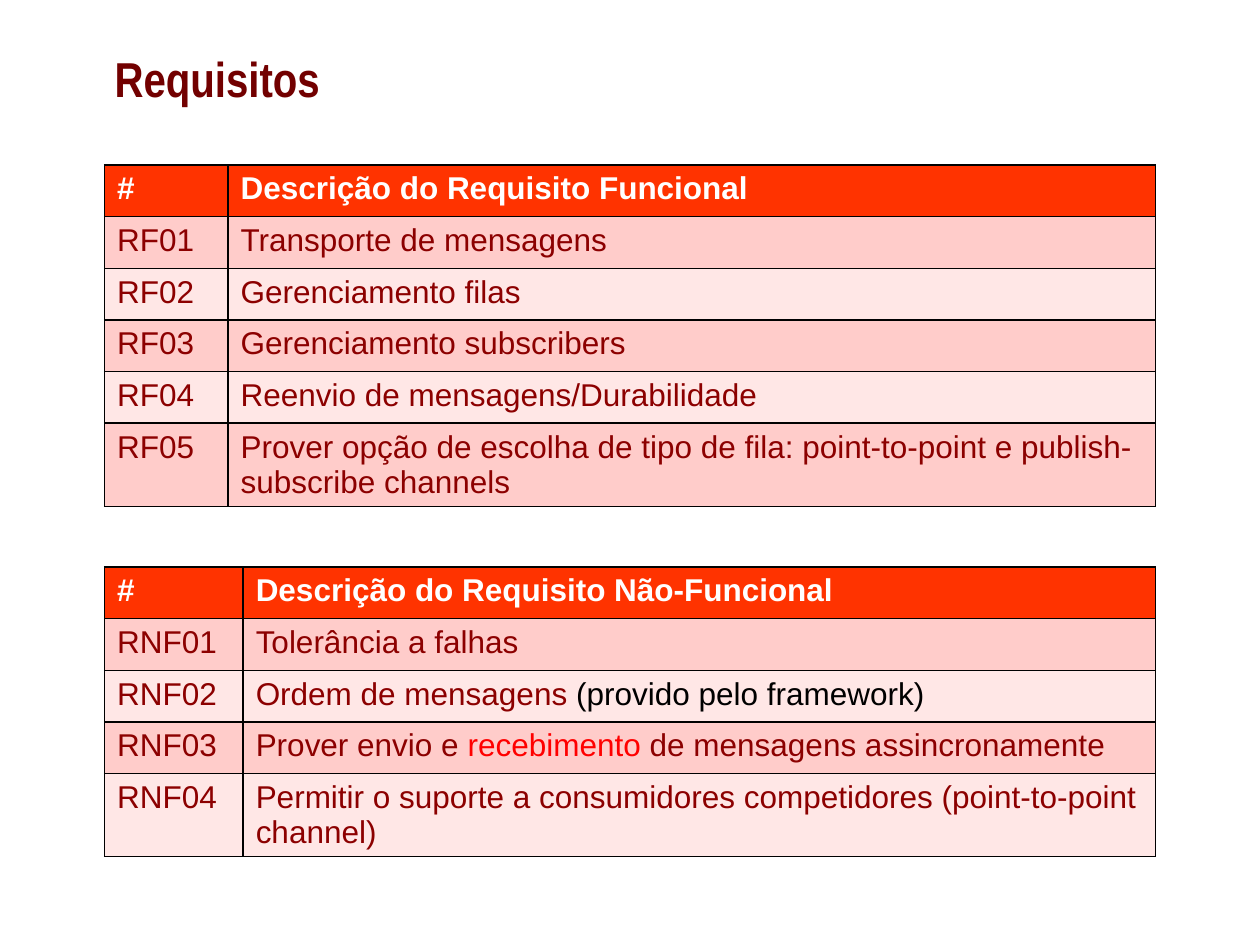
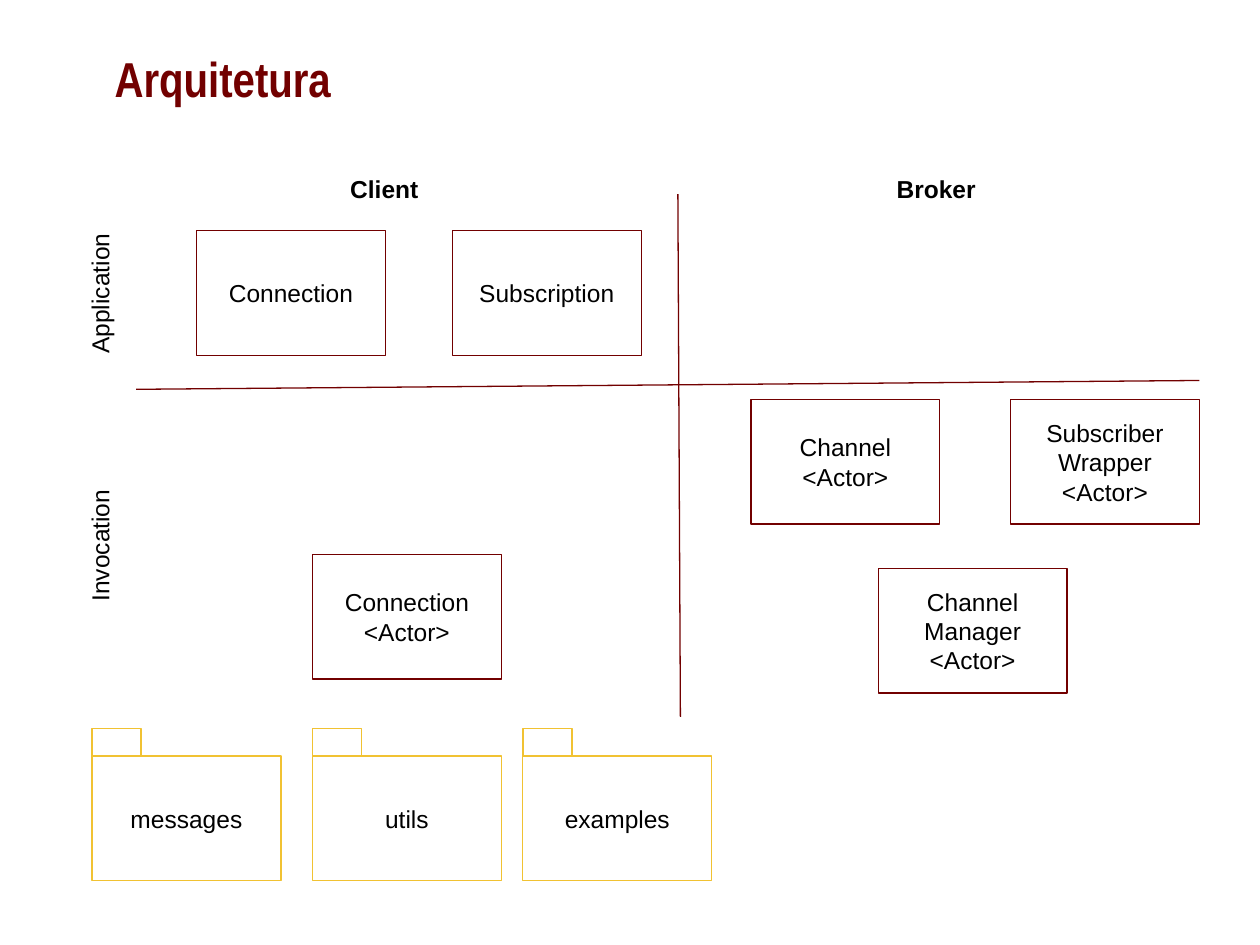
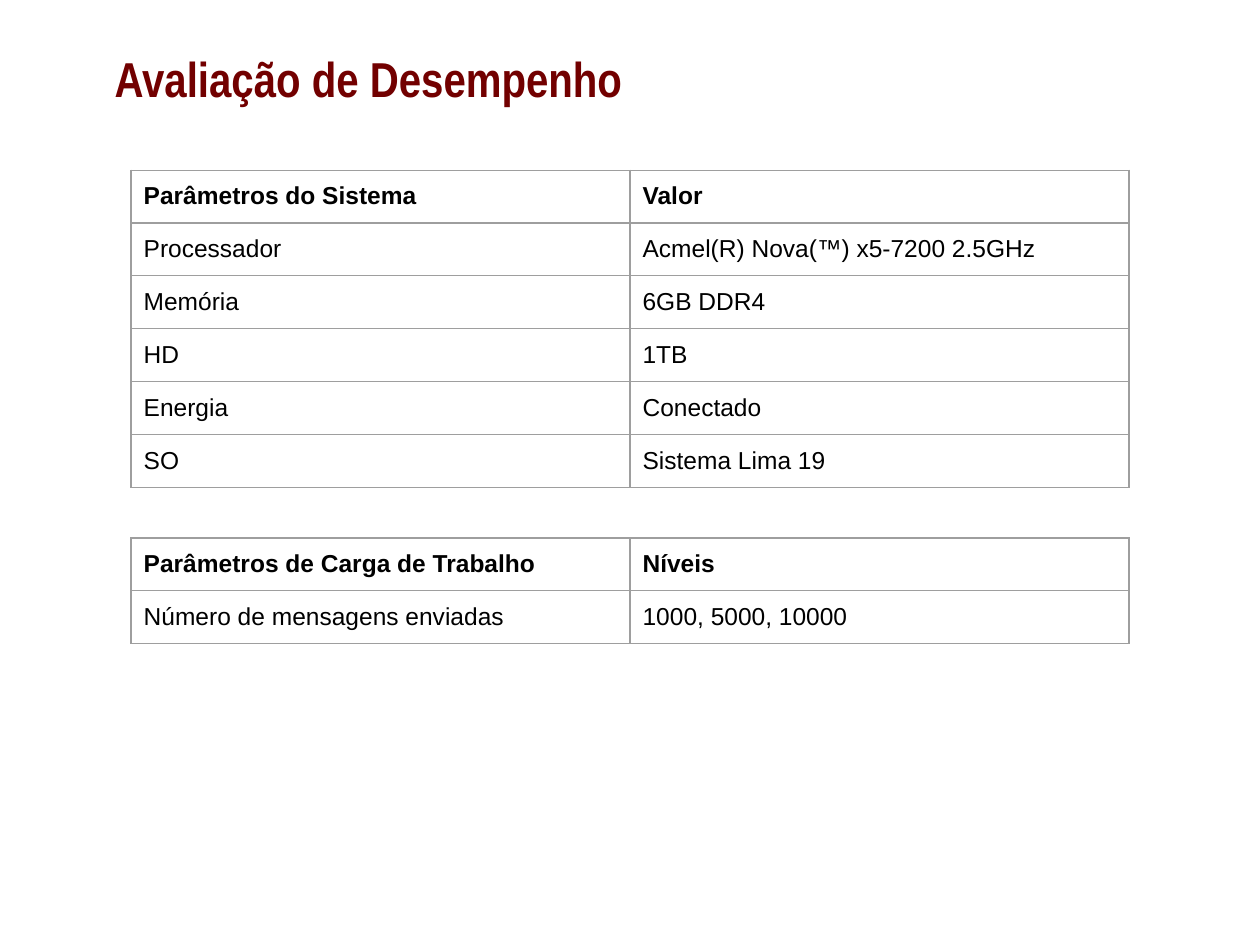
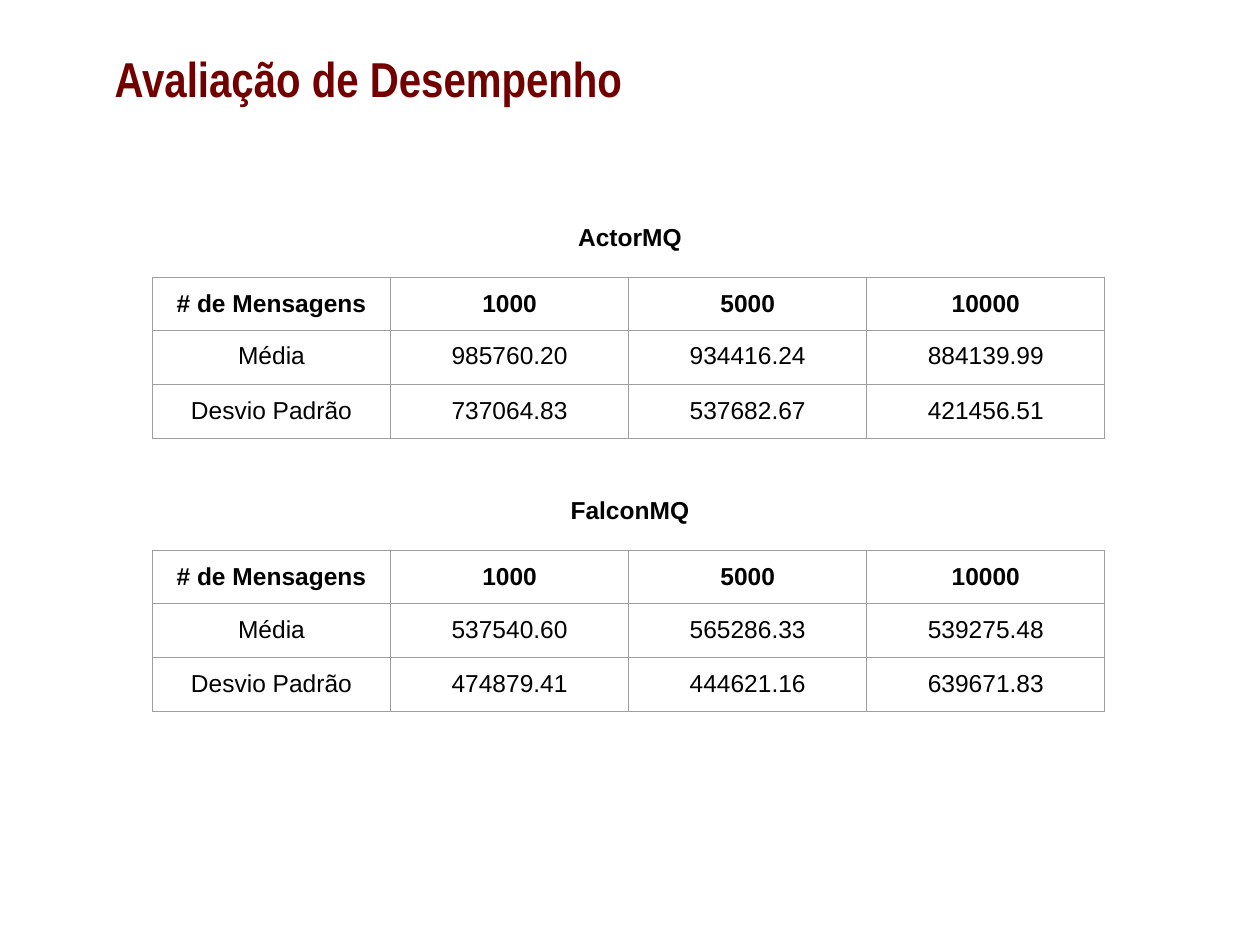
from dataclasses import dataclass

from lxml.etree import SubElement
from pptx import Presentation
from pptx.dml.color import RGBColor as Rgb
from pptx.enum.shapes import MSO_CONNECTOR as Link, MSO_SHAPE as Form
from pptx.enum.text import MSO_ANCHOR as Anchor, MSO_AUTO_SIZE as Fit, PP_ALIGN as Align
from pptx.oxml import parse_xml
from pptx.oxml.ns import nsdecls, qn
from pptx.util import Inches, Pt


@dataclass(frozen=True)
class Theme:
    head: str = "Arial Narrow"
    body: str = "Arial"
    big: int = 28
    mid: int = 18
    small: int = 14
    wine: str = "720000"
    dark: str = "8C0000"
    red: str = "FF0000"
    flame: str = "FF3300"
    rose: str = "FFCCCA"
    pale: str = "FFE7E6"
    gold: str = "F1C232"
    grey: str = "9E9E9E"
    black: str = "000000"
    white: str = "FFFFFF"
    thin: float = 0.75
    thick: float = 1


class Deck:
    def __init__(self, theme):
        self.theme = theme
        self.show = Presentation()
        self.show.slide_width = Inches(10)
        self.show.slide_height = Inches(7.5)
        self.slide = None

    def page(self, title):
        t = self.theme
        self.slide = self.show.slides.add_slide(self.show.slide_layouts[5])
        head = self.slide.shapes.title
        self.place(head, 0.81, 0.21, 7.97, 0.81)
        self.fill_text(head.text_frame, title, t.big, t.wine, True, Align.LEFT, t.head)
        self.pad(head.text_frame, 0.05)

    def place(self, item, left, top, wide, high):
        item.left, item.top = Inches(left), Inches(top)
        item.width, item.height = Inches(wide), Inches(high)

    def pad(self, frame, gap, anchor=Anchor.MIDDLE):
        frame.margin_left = frame.margin_right = Inches(0.1)
        frame.margin_top = frame.margin_bottom = Inches(gap)
        frame.vertical_anchor = anchor
        frame.word_wrap = True
        frame.auto_size = Fit.NONE

    def fill_text(self, frame, text, size, color, bold=False, align=Align.CENTER, font=None):
        lines = text.split("\n") if isinstance(text, str) else [text]
        for i, line in enumerate(lines):
            para = frame.add_paragraph() if i else frame.paragraphs[0]
            para.alignment = align
            for part in [(line, color)] if isinstance(line, str) else line:
                run = para.add_run()
                run.text = part[0]
                run.font.name = font or self.theme.body
                run.font.size = Pt(size)
                run.font.bold = bold
                run.font.color.rgb = Rgb.from_string(part[1])

    def box(self, left, top, wide, high, color, text=None):
        t = self.theme
        item = self.slide.shapes.add_shape(
            Form.RECTANGLE, Inches(left), Inches(top), Inches(wide), Inches(high))
        item.shadow.inherit = False
        item.fill.background()
        item.line.color.rgb = Rgb.from_string(color)
        item.line.width = Pt(t.thin)
        if text:
            self.pad(item.text_frame, 0.1)
            self.fill_text(item.text_frame, text, t.small, t.black)

    def folder(self, left, top, text):
        self.box(left, top, 1.5, 0.99, self.theme.gold, text)
        self.box(left, top - 0.22, 0.39, 0.22, self.theme.gold)

    def label(self, left, top, wide, high, text, bold=True, turn=0, anchor=Anchor.MIDDLE):
        t = self.theme
        item = self.slide.shapes.add_textbox(
            Inches(left), Inches(top), Inches(wide), Inches(high))
        item.rotation = turn
        self.pad(item.text_frame, 0.1, anchor)
        self.fill_text(item.text_frame, text, t.small, t.black, bold)

    def line(self, *ends):
        item = self.slide.shapes.add_connector(Link.STRAIGHT, *map(Inches, ends))
        item.line.color.rgb = Rgb.from_string(self.theme.wine)
        item.line.width = Pt(self.theme.thin)
        SubElement(item._element.spPr, qn("a:effectLst"))

    def edge(self, cell, color, width):
        props = cell._tc.get_or_add_tcPr()
        for i, side in enumerate("LRTB"):
            props.insert(i, parse_xml(
                f'<a:ln{side} {nsdecls("a")} w="{Pt(width)}"><a:solidFill>'
                f'<a:srgbClr val="{color}"/></a:solidFill></a:ln{side}>'))

    def grid(self, left, top, cols, highs, rows, align=Align.LEFT, warm=False):
        t = self.theme
        size, pad = (t.mid, 0.05) if warm else (t.small, 0.1)
        rim = (t.black, t.thick) if warm else (t.grey, t.thin)
        table = self.slide.shapes.add_table(
            len(rows), len(cols), Inches(left), Inches(top),
            Inches(sum(cols)), Inches(sum(highs))).table
        table.first_row = table.horz_banding = False
        for col, wide in zip(table.columns, cols):
            col.width = Inches(wide)
        for r, texts in enumerate(rows):
            table.rows[r].height = Inches(highs[r])
            for c, text in enumerate(texts):
                cell = table.cell(r, c)
                cell.margin_left = cell.margin_right = Inches(0.1)
                cell.margin_top = cell.margin_bottom = Inches(pad)
                color = t.black
                if warm:
                    color = t.dark if r else t.white
                    back = (t.rose if r % 2 else t.pale) if r else t.flame
                    cell.fill.solid()
                    cell.fill.fore_color.rgb = Rgb.from_string(back)
                else:
                    cell.fill.background()
                self.edge(cell, *rim)
                self.fill_text(cell.text_frame, text, size, color, r == 0, align)


def needs(deck):
    t = deck.theme
    deck.page("Requisitos")
    main = ["Descrição do Requisito Funcional", "Transporte de mensagens",
            "Gerenciamento filas", "Gerenciamento subscribers",
            "Reenvio de mensagens/Durabilidade",
            "Prover opção de escolha de tipo de fila: point-to-point e "
            "publish-subscribe channels"]
    other = ["Descrição do Requisito Não-Funcional", "Tolerância a falhas",
             [("Ordem de mensagens", t.dark), (" (provido pelo framework)", t.black)],
             [("Prover envio e ", t.dark), ("recebimento", t.red),
              (" de mensagens assincronamente", t.dark)],
             "Permitir o suporte a consumidores competidores (point-to-point channel)"]
    for top, cols, code, texts in [(1.31, (0.98, 7.36), "RF", main),
                                   (4.5, (1.1, 7.24), "RNF", other)]:
        rows = [(f"{code}{i:02}" if i else "#", text) for i, text in enumerate(texts)]
        deck.grid(0.83, top, cols, [0.41] * len(rows), rows, warm=True)


def design(deck):
    deck.page("Arquitetura")
    for left, top, text in [(1.56, 1.83, "Connection"), (3.59, 1.83, "Subscription"),
                            (2.48, 4.4, "Connection <Actor>"),
                            (6.97, 4.51, "Channel Manager\n<Actor>"),
                            (5.96, 3.17, "Channel\n<Actor>"),
                            (8.02, 3.17, "Subscriber Wrapper\n<Actor>")]:
        deck.box(left, top, 1.5, 0.99, deck.theme.wine, text)
    deck.line(5.38, 1.54, 5.4, 5.69)
    deck.line(1.08, 3.09, 9.52, 3.02)
    for left, text in [(1.94, "Client"), (6.32, "Broker")]:
        deck.label(left, 1.03, 2.22, 0.94, text)
    for top, text in [(1.86, "Application"), (3.86, "Invocation")]:
        deck.label(0.04, top, 1.5, 0.94, text, bold=False, turn=270)
    for left, text in [(0.73, "messages"), (2.48, "utils"), (4.15, "examples")]:
        deck.folder(left, 6, text)


def setup(deck):
    deck.page("Avaliação de Desempenho")
    system = [("Parâmetros do Sistema", "Valor"),
              ("Processador", "Acmel(R) Nova(™) x5-7200 2.5GHz"),
              ("Memória", "6GB DDR4"), ("HD", "1TB"),
              ("Energia", "Conectado"), ("SO", "Sistema Lima 19")]
    load = [("Parâmetros de Carga de Trabalho", "Níveis"),
            ("Número de mensagens enviadas", "1000, 5000, 10000")]
    for top, rows in [(1.35, system), (4.27, load)]:
        deck.grid(1.04, top, [3.96] * 2, [0.42] * len(rows), rows)


def results(deck):
    deck.page("Avaliação de Desempenho")
    head = ("# de Mensagens", "1000", "5000", "10000")
    for top, name, mean, spread in [
            (2.2, "ActorMQ", ("985760.20", "934416.24", "884139.99"),
             ("737064.83", "537682.67", "421456.51")),
            (4.37, "FalconMQ", ("537540.60", "565286.33", "539275.48"),
             ("474879.41", "444621.16", "639671.83"))]:
        rows = [head, ("Média", *mean), ("Desvio Padrão", *spread)]
        deck.grid(1.21, top, [1.89] * 4, [0.42, 0.43, 0.43], rows, Align.CENTER)
        deck.label(4.17, top - 0.54, 1.66, 0.52, name, anchor=Anchor.TOP)


def main():
    deck = Deck(Theme())
    for build in (needs, design, setup, results):
        build(deck)
    deck.show.save("out.pptx")


if __name__ == "__main__":
    main()
